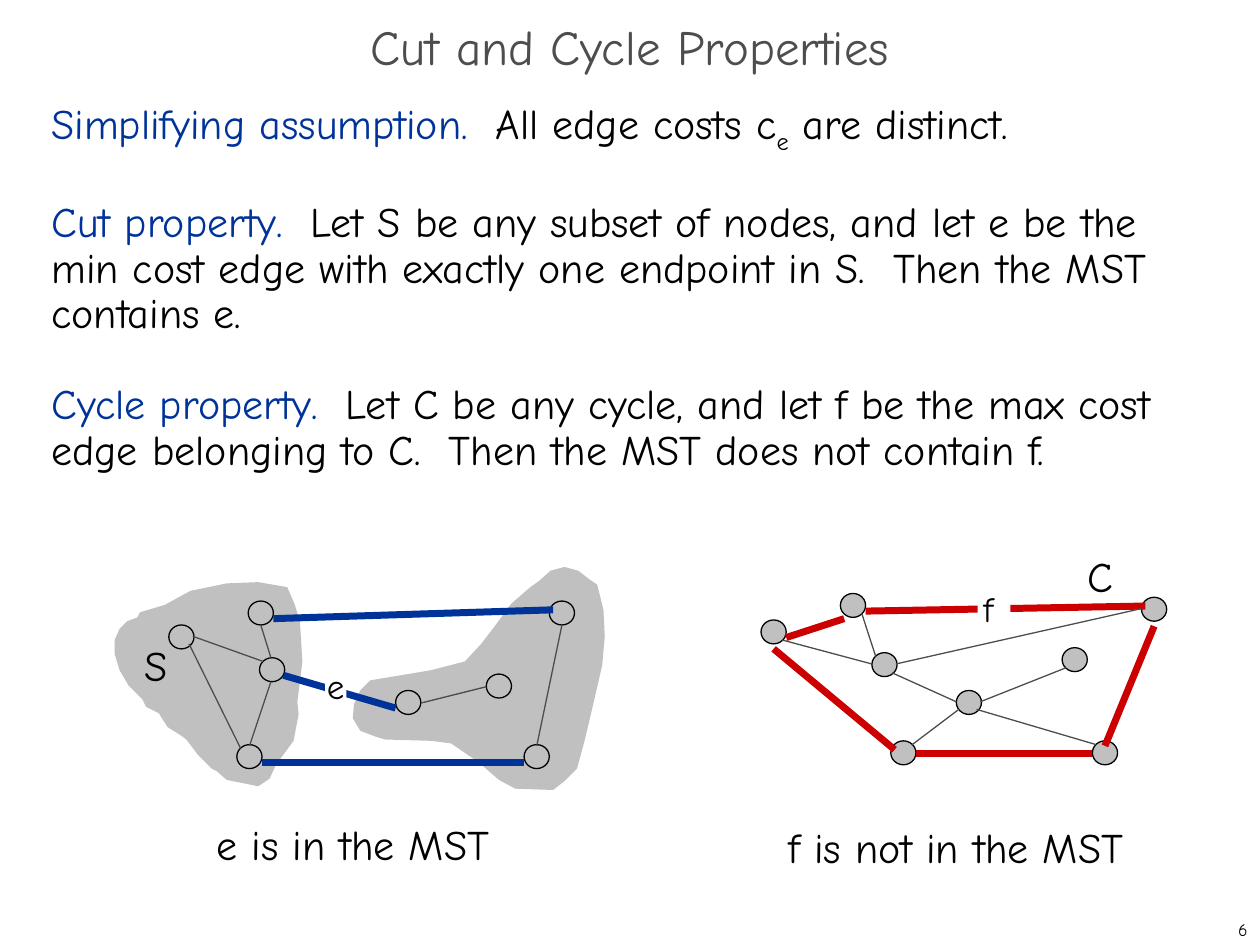
from lxml.etree import SubElement
from pptx import Presentation
from pptx.dml.color import RGBColor
from pptx.enum.shapes import MSO_CONNECTOR, MSO_SHAPE
from pptx.enum.text import MSO_ANCHOR, PP_ALIGN
from pptx.oxml.ns import qn
from pptx.util import Inches, Pt

FONT = "Comic Neue"
BLACK, GRAY, DARK = "000000", "C0C0C0", "4D4D4D"
BLUE, RED, WHITE = "003399", "CC0000", "FFFFFF"

BODY = [
    [("Simplifying assumption.  ", BLUE), ("All edge costs c", BLACK),
     ("e", BLACK, "-25000"), (" are distinct.", BLACK)],
    [("Cut property.  ", BLUE),
     ("Let S be any subset of nodes, and let e be the min cost edge with "
      "exactly one endpoint in S.  Then the MST contains e.", BLACK)],
    [("Cycle property.  ", BLUE),
     ("Let C be any cycle, and let f be the max cost edge belonging to C.  "
      "Then the MST does not contain f.", BLACK)],
]

CUT = {
    "tint": BLUE,
    "blobs": [
        [(3.58, 0), (3.69, 0.03), (3.78, 0.1), (3.84, 0.14), (3.89, 0.34),
         (3.9, 0.55), (3.88, 0.78), (3.79, 1.17), (3.74, 1.38), (3.68, 1.6),
         (3.58, 1.7), (3.49, 1.77), (3.19, 1.76), (3.06, 1.69), (2.91, 1.56),
         (2.84, 1.51), (2.68, 1.4), (2.52, 1.38), (2.16, 1.37), (2.09, 1.35),
         (1.96, 1.3), (1.9, 1.2), (1.91, 1.09), (1.96, 0.98), (2.04, 0.9),
         (2.28, 0.86), (2.52, 0.82), (2.79, 0.75), (2.92, 0.61), (3.02, 0.48),
         (3.16, 0.29), (3.31, 0.16), (3.38, 0.11), (3.47, 0.03)],
        [(0.21, 0.36), (0.41, 0.3), (0.61, 0.19), (0.9, 0.13), (1.15, 0.12),
         (1.38, 0.16), (1.44, 0.3), (1.48, 0.43), (1.5, 0.75), (1.46, 1.07),
         (1.47, 1.17), (1.43, 1.38), (1.29, 1.57), (1.24, 1.68), (1.15, 1.74),
         (0.9, 1.69), (0.82, 1.62), (0.78, 1.6), (0.67, 1.49), (0.58, 1.37),
         (0.54, 1.34), (0.43, 1.27), (0.36, 1.16), (0.26, 1.11), (0.23, 1.05),
         (0.12, 0.94), (0.05, 0.82), (0.01, 0.69), (0.01, 0.58), (0.05, 0.49),
         (0.11, 0.43), (0.19, 0.4)],
    ],
    "nodes": [(0.44, 0.46), (3.46, 0.27), (3.26, 1.41), (1.07, 0.27),
              (1.16, 0.72), (0.98, 1.41), (2.96, 0.85), (2.24, 0.98)],
    "bold": [(3.26, 1.55, 1.18, 1.55), (1.27, 0.41, 3.49, 0.34),
             (1.35, 0.86, 2.24, 1.12)],
    "thin": [(0.63, 0.55, 1.19, 0.75), (0.6, 0.61, 1.01, 1.44),
             (1.17, 0.46, 1.25, 0.72), (1.25, 0.91, 1.08, 1.42),
             (3.56, 0.46, 3.36, 1.42), (2.96, 0.95, 2.44, 1.08)],
    "tag": ("e", (1.68, 0.77, 0.17, 0.33)),
    "notes": [("S", (0.15, 0.53, 0.39, 0.5)),
              ("e is in the MST", (0.72, 1.95, 2.37, 0.5))],
}

CYCLE = {
    "tint": RED,
    "blobs": [],
    "nodes": [(0.04, 0.62), (3.06, 0.44), (2.67, 1.58), (0.67, 0.41),
              (0.92, 0.88), (1.07, 1.58), (2.43, 0.84), (1.59, 1.18)],
    "bold": [(0.24, 0.76, 0.7, 0.61), (1.1, 1.65, 0.14, 0.85),
             (3.16, 0.67, 2.77, 1.62), (2.67, 1.68, 1.27, 1.68),
             (0.87, 0.55, 3.09, 0.51)],
    "thin": [(0.84, 0.57, 0.95, 0.91), (3.06, 0.53, 1.11, 0.97),
             (1.59, 1.27, 1.08, 1.04), (1.61, 1.33, 1.24, 1.61),
             (2.7, 1.61, 1.75, 1.33), (2.46, 1, 1.78, 1.27),
             (0.92, 0.97, 0.21, 0.78)],
    "tag": ("f ", (1.76, 0.36, 0.26, 0.33)),
    "notes": [("C", (2.53, 0.02, 0.41, 0.5)),
              ("f is not in the MST", (0.16, 2.17, 2.86, 0.5))],
}


def color(code):
    return RGBColor.from_string(code)


def shift(box, part):
    x, y, *size = part
    return [Inches(v) for v in (box[0] + x, box[1] + y, *size)]


def style(para, size, tint=BLACK, align=PP_ALIGN.LEFT):
    para.alignment = align
    para.font.name = FONT
    para.font.size = Pt(size)
    para.font.color.rgb = color(tint)


def paint(shape, fill, edge=None):
    shape.shadow.inherit = False
    shape.fill.solid()
    shape.fill.fore_color.rgb = color(fill)
    if edge:
        shape.line.color.rgb = color(edge)
        shape.line.width = Pt(0.75)
    else:
        shape.line.fill.background()


def write(slide, box, text, size, tint=BLACK, align=PP_ALIGN.LEFT,
          wrap=False, anchor=MSO_ANCHOR.TOP):
    frame = slide.shapes.add_textbox(*map(Inches, box)).text_frame
    frame.word_wrap = wrap
    frame.vertical_anchor = anchor
    para = frame.paragraphs[0]
    para.text = text
    style(para, size, tint, align)
    return para


def body(slide, box):
    frame = slide.shapes.add_textbox(*map(Inches, box)).text_frame
    frame.word_wrap = True
    for i, parts in enumerate(BODY):
        para = frame.add_paragraph() if i else frame.paragraphs[0]
        para.line_spacing = Pt(26)
        para.space_before = Pt(26 if i else 0)
        style(para, 24)
        for text, tint, *base in parts:
            run = para.add_run()
            run.text = text
            run.font.name = FONT
            run.font.size = Pt(24)
            run.font.color.rgb = color(tint)
            if base:
                run.font._element.set("baseline", base[0])


def blob(slide, box, points):
    first, *rest = [shift(box, point) for point in points]
    form = slide.shapes.build_freeform(*first)
    form.add_line_segments(rest, close=True)
    paint(form.convert_to_shape(), GRAY)


def edge(slide, box, ends, tint, width):
    start, stop = shift(box, ends[:2]), shift(box, ends[2:])
    line = slide.shapes.add_connector(MSO_CONNECTOR.STRAIGHT, *start, *stop)
    line.line.color.rgb = color(tint)
    line.line.width = Pt(width)
    SubElement(line._element.spPr, qn("a:effectLst"))


def tag(slide, box, text, part):
    shape = slide.shapes.add_shape(MSO_SHAPE.RECTANGLE, *shift(box, part))
    paint(shape, WHITE)
    frame = shape.text_frame
    frame.margin_left = frame.margin_right = 0
    frame.margin_top = frame.margin_bottom = 0
    frame.vertical_anchor = MSO_ANCHOR.TOP
    frame.word_wrap = True
    para = frame.paragraphs[0]
    para.text = text
    style(para, 20, align=PP_ALIGN.CENTER)


def graph(slide, box, data):
    for points in data["blobs"]:
        blob(slide, box, points)
    for node in data["nodes"]:
        place = shift(box, (*node, 0.2, 0.19))
        paint(slide.shapes.add_shape(MSO_SHAPE.OVAL, *place), GRAY, BLACK)
    for ends in data["bold"]:
        edge(slide, box, ends, data["tint"], 4)
    tag(slide, box, *data["tag"])
    for text, (x, y, w, h) in data["notes"]:
        write(slide, (box[0] + x, box[1] + y, w, h), text, 24)
    for ends in data["thin"]:
        edge(slide, box, ends, DARK, 0.75)


def main():
    deck = Presentation()
    deck.slide_width, deck.slide_height = Inches(10), Inches(7.5)
    slide = deck.slides.add_slide(deck.slide_layouts[6])
    write(slide, (7.92, 7.25, 2.08, 0.25), "6", 10, align=PP_ALIGN.RIGHT,
          wrap=True, anchor=MSO_ANCHOR.MIDDLE)
    title = write(slide, (0, 0.17, 10, 0.5), "Cut and Cycle Properties", 28,
                  DARK, PP_ALIGN.CENTER, True, MSO_ANCHOR.MIDDLE)
    title.line_spacing = 0.7
    body(slide, (0.31, 0.82, 9.39, 6.28))
    graph(slide, (6, 4.3), CYCLE)
    graph(slide, (0.9, 4.5), CUT)
    deck.save("out.pptx")


if __name__ == "__main__":
    main()
